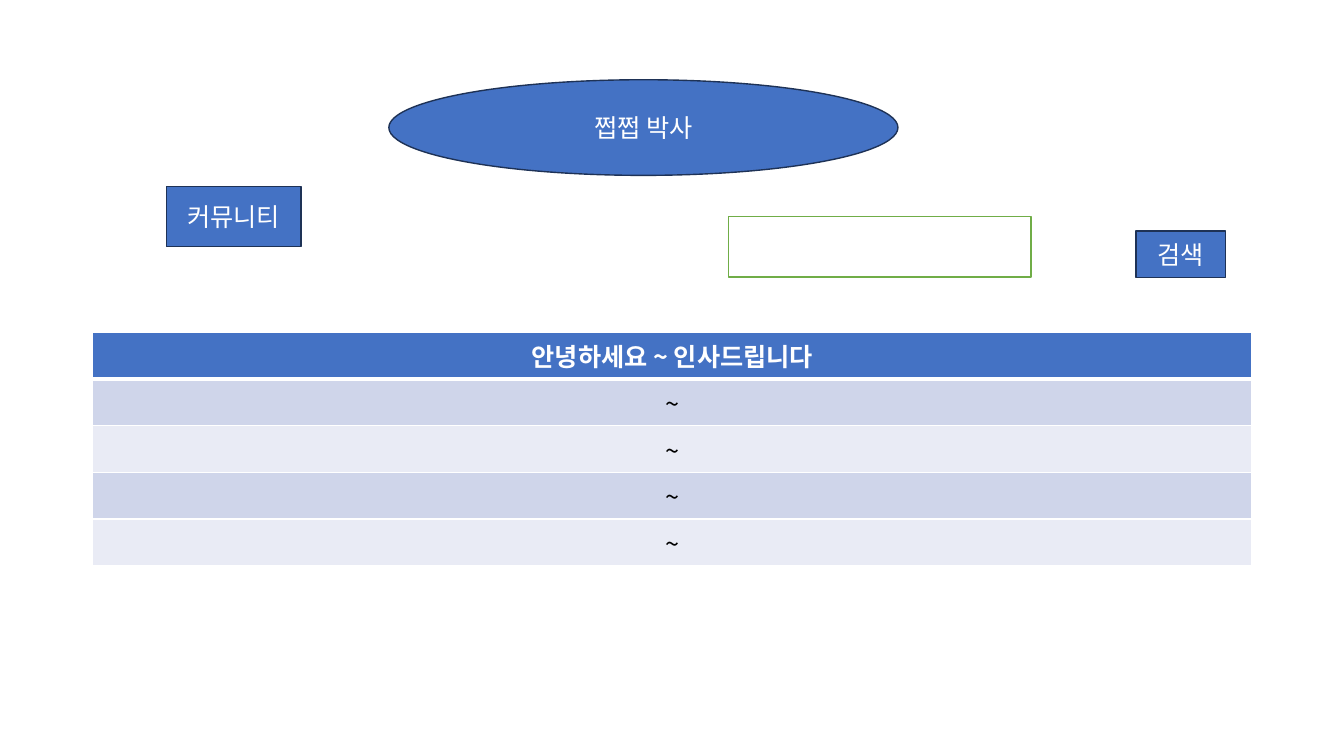
from dataclasses import dataclass

from lxml import etree
from pptx import Presentation
from pptx.dml.color import RGBColor
from pptx.enum.shapes import MSO_SHAPE
from pptx.enum.text import MSO_ANCHOR, PP_ALIGN
from pptx.oxml.ns import qn
from pptx.util import Cm, Pt

OVAL = MSO_SHAPE.OVAL
RECT = MSO_SHAPE.RECTANGLE
CENTER = PP_ALIGN.CENTER
MIDDLE = MSO_ANCHOR.MIDDLE

FONT = "Noto Sans CJK KR"
BLUE, NAVY, GREEN = "4472C4", "1E3256", "70AD47"
WHITE, BLACK = "FFFFFF", "000000"
BANDS = ("CFD5EA", "E9EBF5")


@dataclass
class Box:
    kind: MSO_SHAPE
    left: float
    top: float
    width: float
    height: float
    text: str = ""
    fill: str = BLUE
    line: str = NAVY


BOXES = [
    Box(OVAL, 9.8, 2.01, 12.83, 2.41, "쩝쩝 박사"),
    Box(RECT, 4.19, 4.7, 3.4, 1.52, "커뮤니티"),
    Box(RECT, 18.36, 5.46, 7.62, 1.52, fill=WHITE, line=GREEN),
    Box(RECT, 28.63, 5.82, 2.26, 1.17, "검색"),
]
POSTS = ["안녕하세요 ~ 인사드립니다"] + ["~"] * 4
ROW_HEIGHT = 1.03


def rgb(color: str) -> RGBColor:
    return RGBColor.from_string(color)


def add_text(tf, text: str, color: str, bold: bool = False) -> None:
    p = tf.paragraphs[0]
    p.alignment = CENTER
    r = p.add_run()
    r.text = text
    r.font.size = Pt(18)
    r.font.bold = bold
    r.font.color.rgb = rgb(color)
    r.font.name = FONT
    etree.SubElement(r.font._element, qn("a:ea"), typeface=FONT)


def add_box(s, box: Box) -> None:
    sp = s.shapes.add_shape(box.kind, Cm(box.left), Cm(box.top),
                            Cm(box.width), Cm(box.height))
    sp.shadow.inherit = False
    sp.fill.solid()
    sp.fill.fore_color.rgb = rgb(box.fill)
    sp.line.color.rgb = rgb(box.line)
    sp.line.width = Pt(1)
    if box.text:
        tf = sp.text_frame
        tf.word_wrap = True
        tf.vertical_anchor = MIDDLE
        add_text(tf, box.text, WHITE)


def set_borders(cell, top: int, bottom: int) -> None:
    tcPr = cell._tc.get_or_add_tcPr()
    widths = {"lnL": 1, "lnR": 1, "lnT": top, "lnB": bottom}
    for side, width in widths.items():
        ln = etree.SubElement(tcPr, qn(f"a:{side}"), w=str(Pt(width)))
        fill = etree.SubElement(ln, qn("a:solidFill"))
        etree.SubElement(fill, qn("a:srgbClr"), val=WHITE)


def add_posts(s) -> None:
    frame = s.shapes.add_table(len(POSTS), 1, Cm(2.34), Cm(8.38),
                               Cm(29.21), Cm(ROW_HEIGHT * len(POSTS)))
    table = frame.table
    for i, text in enumerate(POSTS):
        header = i == 0
        table.rows[i].height = Cm(ROW_HEIGHT)
        cell = table.cell(i, 0)
        set_borders(cell, top=3 if i == 1 else 1, bottom=3 if header else 1)
        cell.fill.solid()
        cell.fill.fore_color.rgb = rgb(BLUE if header else BANDS[(i - 1) % 2])
        add_text(cell.text_frame, text, WHITE if header else BLACK, header)


def main() -> None:
    prs = Presentation()
    prs.slide_width, prs.slide_height = Cm(33.87), Cm(19.05)
    s = prs.slides.add_slide(prs.slide_layouts[6])
    add_posts(s)
    for box in BOXES:
        add_box(s, box)
    prs.save("out.pptx")


if __name__ == "__main__":
    main()
